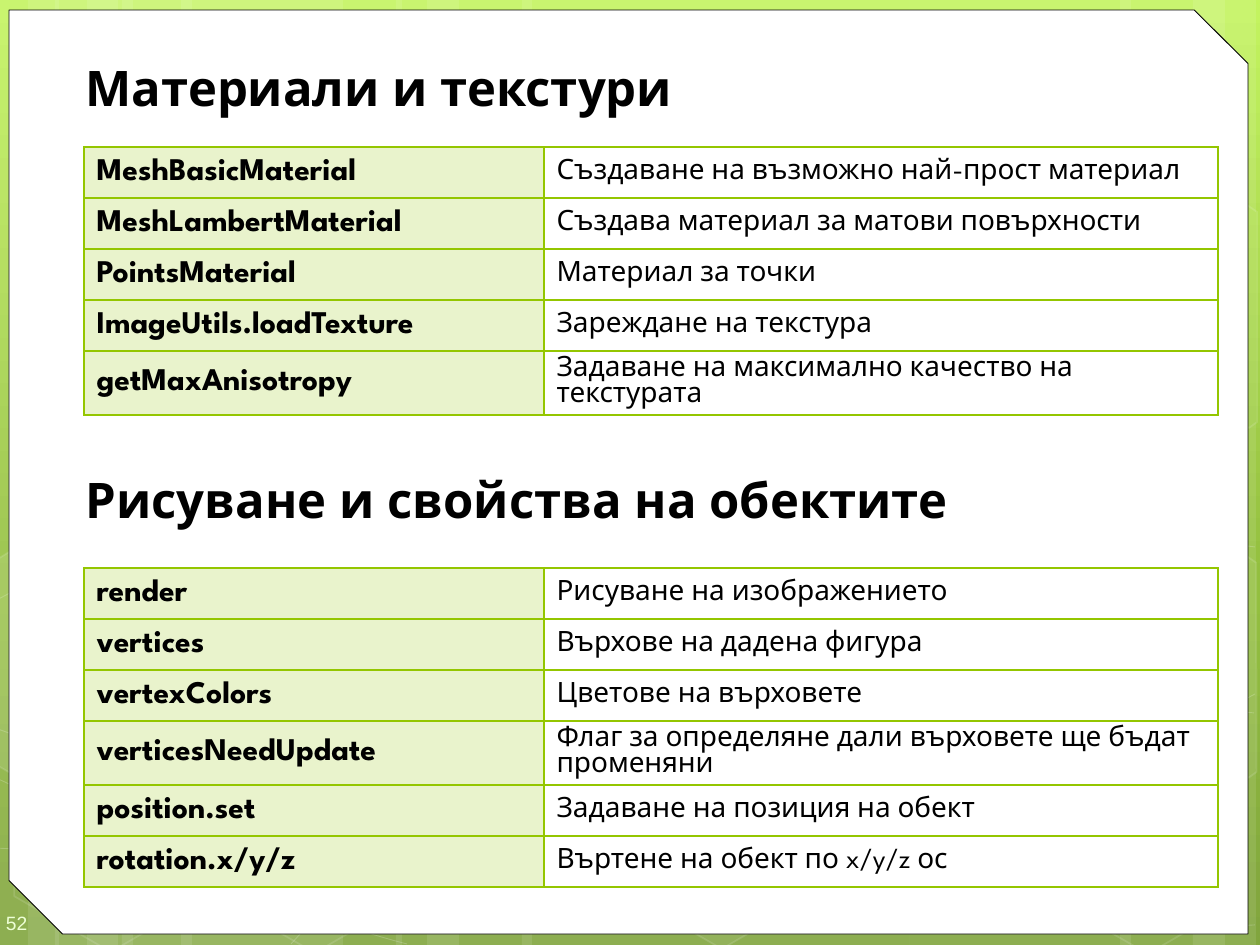
from copy import deepcopy
from dataclasses import dataclass
from math import cos, radians, sin
from typing import NamedTuple

from lxml.etree import SubElement
from pptx import Presentation
from pptx.dml.color import RGBColor
from pptx.enum.shapes import MSO_SHAPE
from pptx.enum.text import MSO_ANCHOR, MSO_AUTO_SIZE, PP_ALIGN
from pptx.oxml.ns import qn
from pptx.util import Emu, Pt

SCALE = 914400 / 126
WIDE, HIGH = 1260, 945
TURN = 30


@dataclass(frozen=True)
class Theme:
    font: str = "League Spartan"
    plain: str = "Arial"
    ink: str = "000000"
    white: str = "FFFFFF"
    green: str = "94C600"
    pale: str = "EEFFD6"
    sky: tuple = ((0, "C3F35F"), (0.62, "93BF3F"), (1, "81A53E"))
    head: int = 28
    name: int = 18
    note: int = 16
    page: int = 11


class Box(NamedTuple):
    x: int
    y: int
    w: int
    h: int


class Look(NamedTuple):
    """Fill and line opacity in percent; 0 means none."""
    fill: int = 0
    line: int = 0
    width: float = 1


class Row(NamedTuple):
    name: str
    note: str
    high: int = 51


THEME = Theme()
BARE, FULL, SOFT = Look(0, 12), Look(10, 12), Look(7, 8)
STRIPES = [(122, 221), (-4, 63), (28, 105), (181, 221), (55, 63), (87, 105),
           (910, 221), (1193, 63), (1120, 105), (522, 388), (396, 63), (427, 105)]
# Each curve is a start point, then three points for every Bezier piece.
CURVES = [
    [(-5, 848), (63, 852), (131, 856), (226, 854), (320, 853), (436, 850), (563, 838),
     (689, 825), (868, 801), (983, 777), (1099, 753), (1217, 716), (1255, 694)],
    [(-5, 601), (32, 581), (68, 562), (139, 543), (210, 524), (311, 496), (423, 488),
     (536, 479), (672, 478), (810, 488), (949, 498), (1179, 537), (1255, 547)],
    [(-6, 777), (145, 847), (297, 916), (407, 944)],
    [(-5, 728), (34, 742), (74, 756), (147, 776), (221, 795), (330, 827), (435, 848),
     (541, 869), (673, 892), (777, 905), (881, 919), (994, 924), (1060, 927),
     (1126, 932), (1159, 930), (1177, 930), (1208, 929), (1232, 926), (1255, 925)],
    [(291, 944), (314, 919), (336, 893), (367, 871), (397, 848), (440, 823), (474, 805),
     (509, 788), (532, 780), (577, 767), (624, 754), (708, 737), (752, 728),
     (796, 719), (804, 719), (843, 717), (882, 713), (944, 709), (987, 708),
     (1054, 707), (1120, 707), (1186, 708), (1210, 709), (1231, 711), (1254, 713)],
]
HEXES = [(410, 394, FULL), (509, 568, BARE), (510, 219, SOFT), (407, 45, Look(4, 8)),
         (611, 742, Look(6, 12)), (0, 745, BARE), (4, 393, SOFT), (103, 568, BARE),
         (204, 746, BARE), (208, 394, SOFT), (106, 215, BARE), (935, 571, FULL),
         (1037, 747, BARE), (1037, 396, SOFT)]
# Hexagons cut off by the slide's edge, each with the middle it turns around.
CUTS = [
    ((30, 674), FULL,
     [(-4, 561), (10, 552), (107, 607), (106, 718), (11, 774), (-4, 765)]),
    ((1227, 655), Look(4, 12),
     [(1153, 611), (1247, 556), (1256, 562), (1257, 772), (1249, 777), (1152, 722)]),
    ((1227, 304), BARE,
     [(1153, 261), (1247, 205), (1257, 212), (1257, 422), (1249, 427), (1152, 372)]),
]
SKINS = [
    Row("MeshBasicMaterial", "Създаване на възможно най-прост материал"),
    Row("MeshLambertMaterial", "Създава материал за матови повърхности"),
    Row("PointsMaterial", "Материал за точки"),
    Row("ImageUtils.loadTexture", "Зареждане на текстура"),
    Row("getMaxAnisotropy", "Задаване на максимално качество на текстурата", 64),
]
TRAITS = [
    Row("render", "Рисуване на изображението"),
    Row("vertices", "Върхове на дадена фигура"),
    Row("vertexColors", "Цветове на върховете"),
    Row("verticesNeedUpdate", "Флаг за определяне дали върховете ще бъдат променяни", 64),
    Row("position.set", "Задаване на позиция на обект"),
    Row("rotation.x/y/z", "Въртене на обект по x/y/z ос"),
]


def px(num: float) -> Emu:
    return Emu(round(num * SCALE))


def rgb(code: str) -> RGBColor:
    return RGBColor.from_string(code)


def tint(fill, code: str, part: int = 100) -> None:
    """Set a solid fill with the given opacity in percent."""
    fill.solid()
    fill.fore_color.rgb = rgb(code)
    if part < 100:
        clr = fill._xPr.find(".//" + qn("a:srgbClr"))
        SubElement(clr, qn("a:alpha"), val=str(part * 1000))


def style(shape, look: Look) -> None:
    shape.shadow.inherit = False
    for fill, part in ((shape.fill, look.fill), (shape.line.fill, look.line)):
        if part:
            tint(fill, THEME.white, part)
        else:
            fill.background()
    if look.line:
        shape.line.width = Pt(look.width)


def put(slide, kind: MSO_SHAPE, box: Box, look: Look):
    shape = slide.shapes.add_shape(kind, *map(px, box))
    style(shape, look)
    return shape


def trace(slide, dots: list, look: Look, close: bool):
    pen = slide.shapes.build_freeform(*dots[0], scale=SCALE)
    pen.add_line_segments(dots[1:], close=close)
    shape = pen.convert_to_shape()
    style(shape, look)
    return shape


def bend(shape) -> None:
    """Join every three straight pieces into one cubic Bezier."""
    lines = list(shape._element.iter(qn("a:lnTo")))
    for i in range(0, len(lines), 3):
        curve = SubElement(lines[i].getparent(), qn("a:cubicBezTo"))
        for line in lines[i:i + 3]:
            curve.append(line[0])
            line.getparent().remove(line)


def spin(dot: tuple, mid: tuple) -> tuple:
    """Turn a point back around the middle."""
    x, y, arc = dot[0] - mid[0], dot[1] - mid[1], radians(-TURN)
    return (mid[0] + x * cos(arc) - y * sin(arc), mid[1] + x * sin(arc) + y * cos(arc))


def write(para, text: str, size: int, code: str, font: str, bold: bool = False) -> None:
    run = para.add_run()
    run.text = text
    run.font.size, run.font.bold, run.font.name = Pt(size), bold, font
    run.font.color.rgb = rgb(code)


def paint(slide) -> None:
    """Draw the green backdrop and the white panel over it."""
    fill = slide.background.fill
    fill.gradient()
    fill.gradient_angle = 270
    stops = slide._element.find(".//" + qn("a:gsLst"))
    stops.append(deepcopy(stops[-1]))
    for stop, (pos, code) in zip(fill.gradient_stops, THEME.sky):
        stop.position, stop.color.rgb = pos, rgb(code)
    for x, wide in STRIPES:
        put(slide, MSO_SHAPE.RECTANGLE, Box(x, 0, wide, HIGH), Look(10))
    for dots in CURVES:
        bend(trace(slide, dots, Look(0, 20, 0.5), False))
    for x, y, look in HEXES:
        tile = put(slide, MSO_SHAPE.HEXAGON, Box(x, y, 221, 192), look)
        tile.rotation, tile.adjustments[0] = TURN, 0.285
    for mid, look, dots in CUTS:
        trace(slide, [spin(dot, mid) for dot in dots], look, True).rotation = TURN
    panel = put(slide, MSO_SHAPE.SNIP_2_DIAG_RECTANGLE, Box(9, 10, 1239, 924),
                Look(100, 100, 0.5))
    panel.line.color.rgb = rgb(THEME.ink)
    panel.adjustments[0], panel.adjustments[1] = 0, 0.058


def edge(cell) -> None:
    props = cell._tc.get_or_add_tcPr()
    for i, side in enumerate(("lnL", "lnR", "lnT", "lnB")):
        line = SubElement(props, qn("a:" + side), w=str(Pt(1)))
        SubElement(SubElement(line, qn("a:solidFill")), qn("a:srgbClr"), val=THEME.green)
        props.insert(i, line)


def grid(slide, y: int, rows: list[Row]) -> None:
    box = Box(84, y, 1134, sum(row.high for row in rows))
    table = slide.shapes.add_table(len(rows), 2, *map(px, box)).table
    table.first_row = table.horz_banding = False
    for col, wide in zip(table.columns, (460, 674)):
        col.width = px(wide)
    for line, row in zip(table.rows, rows):
        line.height = px(row.high)
        name, note = line.cells
        tint(name.fill, THEME.green, 20)
        note.fill.background()
        for cell, text, size in ((name, row.name, THEME.name), (note, row.note, THEME.note)):
            edge(cell)
            cell.vertical_anchor = MSO_ANCHOR.MIDDLE
            write(cell.text_frame.paragraphs[0], text, size, THEME.ink, THEME.font,
                  cell is name)


def heads(slide) -> None:
    body = slide.placeholders[1]
    body.left, body.top, body.width, body.height = map(px, (63, 51, 1187, 884))
    slide.shapes._spTree.append(body._element)
    frame = body.text_frame
    frame.auto_size, frame.vertical_anchor = MSO_AUTO_SIZE.NONE, MSO_ANCHOR.TOP
    first, second = frame.paragraphs[0], frame.add_paragraph()
    for para, text, gap in ((first, "Материали и текстури", 0),
                            (second, "Рисуване и свойства на обектите", 202)):
        props = para._p.get_or_add_pPr()
        props.set("marL", str(px(10)))
        props.set("indent", "0")
        SubElement(props, qn("a:buNone"))
        para.alignment, para.space_before = PP_ALIGN.LEFT, Pt(gap)
        write(para, text, THEME.head, THEME.ink, THEME.font, True)


def number(slide) -> None:
    frame = slide.shapes.add_textbox(*map(px, Box(0, 895, 73, 50))).text_frame
    frame.word_wrap, frame.vertical_anchor = True, MSO_ANCHOR.MIDDLE
    frame.margin_left, frame.margin_top = px(6), px(19)
    frame.margin_right, frame.margin_bottom = px(0), px(13)
    write(frame.paragraphs[0], "52", THEME.page, THEME.pale, THEME.plain)


def main() -> None:
    deck = Presentation()
    deck.slide_width, deck.slide_height = px(WIDE), px(HIGH)
    slide = deck.slides.add_slide(deck.slide_layouts[1])
    title = slide.shapes.title._element
    title.getparent().remove(title)
    paint(slide)
    number(slide)
    heads(slide)
    grid(slide, 147, SKINS)
    grid(slide, 568, TRAITS)
    deck.save("out.pptx")


if __name__ == "__main__":
    main()
